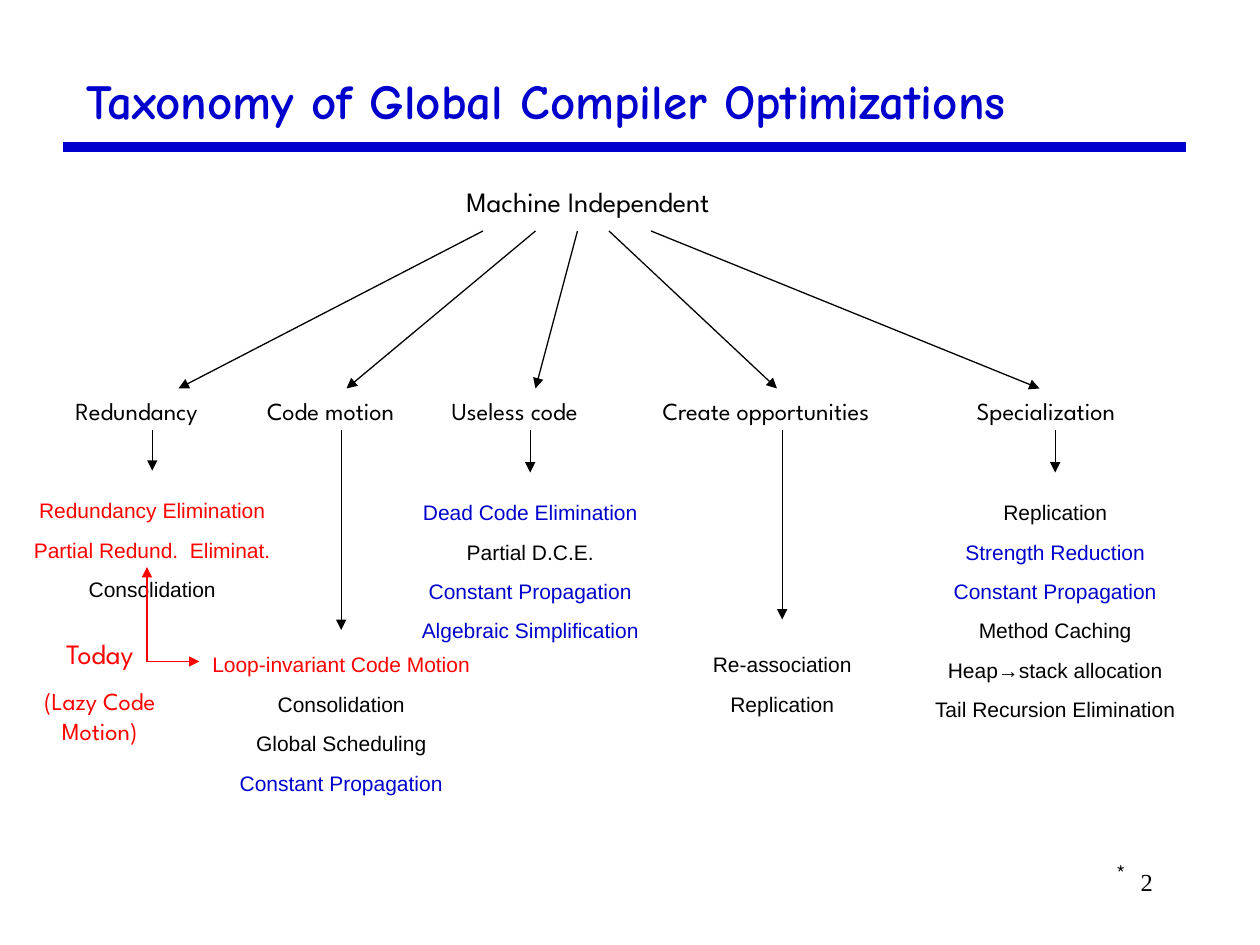
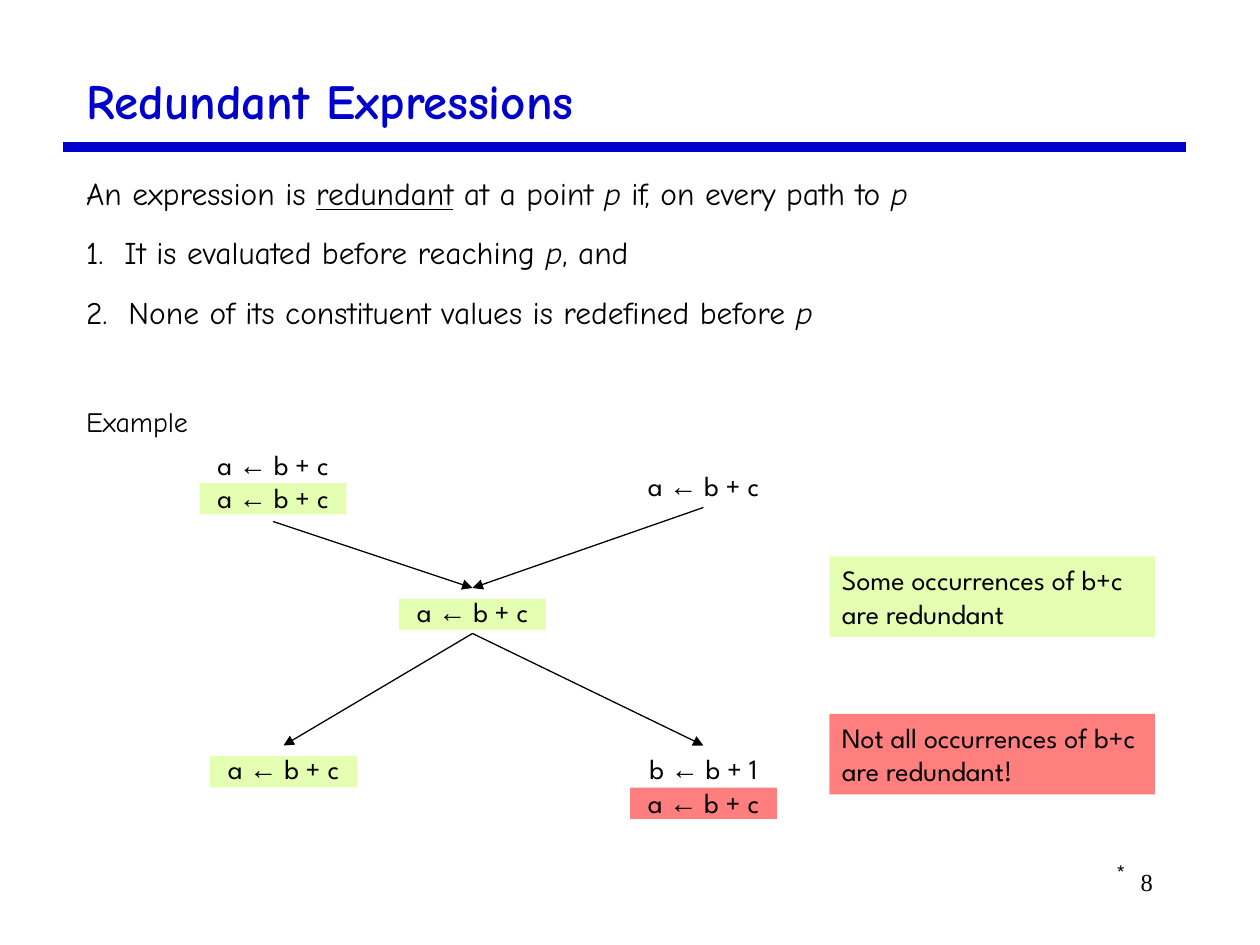
"""Builds two lecture slides on global compiler optimizations."""
from lxml.etree import SubElement
from pptx import Presentation
from pptx.dml.color import RGBColor
from pptx.enum.shapes import MSO_CONNECTOR as Connector, MSO_SHAPE as Shape
from pptx.enum.text import MSO_ANCHOR as Anchor, MSO_AUTO_SIZE as AutoSize, PP_ALIGN as Align
from pptx.oxml.ns import qn
from pptx.util import Pt

COLORS = {"black": "000000", "blue": "0000CC", "red": "FF0000", "lime": "CCFF66"}
SANS, COMIC, SERIF, ARIAL = "League Spartan", "Comic Neue", "Times New Roman", "Arial"
TITLE_ONLY, TITLE_AND_BODY = 5, 1


def rgb(name):
    return RGBColor.from_string(COLORS[name])


class Page:
    """Holds the shared style and the current slide."""

    def __init__(self, deck, layout, title, number):
        self.slide = deck.slides.add_slide(deck.slide_layouts[layout])
        self.arrow((36, 84), (678, 84), "blue", 6, head=False)
        heading = self.slide.shapes.title
        self.place(heading, 42, 36, 630, 42)
        heading.text_frame.vertical_anchor = Anchor.MIDDLE
        self.fill_text(heading, [title], size=28, font=COMIC, color="blue", bold=True)
        self.text((516, 492, 150, 36), [number], size=14, font=SERIF, align=Align.RIGHT)
        self.text((630.5, 486.5, 24, 24.5), ["*"], size=14)

    def place(self, shape, left, top, width, height):
        shape.left, shape.top, shape.width, shape.height = map(Pt, (left, top, width, height))

    def fill_text(self, shape, lines, size=16, font=SANS, color="black",
                  align=Align.LEFT, before=0, bold=False):
        frame = shape.text_frame
        frame.word_wrap = True
        frame.auto_size = AutoSize.NONE
        for index, line in enumerate(lines):
            para = frame.add_paragraph() if index else frame.paragraphs[0]
            para.alignment = align
            para.space_before = Pt(before)
            for text, style in [(line, {})] if isinstance(line, str) else line:
                span = para.add_run()
                span.text = text
                span.font.name = style.get("font", font)
                span.font.size = Pt(style.get("size", size))
                span.font.color.rgb = rgb(style.get("color", color))
                span.font.bold = bold
                span.font.italic = style.get("italic", False)
                span.font.underline = style.get("underline", False)

    def text(self, place, lines, **style):
        box = self.slide.shapes.add_textbox(*map(Pt, place))
        self.fill_text(box, lines, **style)

    def body(self, place, lines, **style):
        box = self.slide.placeholders[1]
        self.place(box, *place)
        self.fill_text(box, lines, font=COMIC, **style)
        for para in box.text_frame.paragraphs:
            props = para._p.get_or_add_pPr()
            props.set("marL", str(Pt(27)))
            props.set("indent", str(-Pt(27)))
            SubElement(props, qn("a:buNone"))
        return box

    def highlight(self, place, color, note=None):
        box = self.slide.shapes.add_shape(Shape.RECTANGLE, *map(Pt, place))
        box.shadow.inherit = False
        box.line.fill.background()
        box.fill.solid()
        box.fill.fore_color.rgb = rgb(color)
        shade = box._element.spPr.find(qn("a:solidFill"))[0]
        SubElement(shade, qn("a:alpha"), val="50000")
        if note:
            box.text_frame.vertical_anchor = Anchor.TOP
            self.fill_text(box, [note])

    def arrow(self, start, end, color="black", width=0.75, head=True):
        line = self.slide.shapes.add_connector(Connector.STRAIGHT, *map(Pt, start + end))
        line.line.color.rgb = rgb(color)
        line.line.width = Pt(width)
        if head:
            outline = line._element.spPr.find(qn("a:ln"))
            SubElement(outline, qn("a:tailEnd"), type="triangle")
        SubElement(line._element.spPr, qn("a:effectLst"))

    def code(self, left, top, *statements):
        lines = []
        for statement in statements:
            target, sign, value = statement.partition("←")
            lines.append([(target, {}), (sign, {"font": ARIAL}), (value, {})])
        self.text((left, top, 96, 7.2 + 19.5 * len(lines)), lines, align=Align.CENTER)


def colored(color, *names):
    return [[(name, {"color": color})] for name in names]


def taxonomy(deck):
    page = Page(deck, TITLE_ONLY, "Taxonomy of Global Compiler Optimizations", "2")
    page.text((240, 102, 192, 26.5), ["Machine Independent"], align=Align.CENTER)
    branches = [
        ("Redundancy", 36, 276, 102, 87, 269, 281,
         colored("red", "Redundancy Elimination", "Partial Redund.  Eliminat.")
         + ["Consolidation"]),
        ("Code motion", 145.5, 306, 198, 195, 360, 369,
         colored("red", "Loop-invariant Code Motion")
         + ["Consolidation", "Global Scheduling"]
         + colored("blue", "Constant Propagation")),
        ("Useless code", 251, 330, 306, 303, 270, 282,
         colored("blue", "Dead Code Elimination") + ["Partial D.C.E."]
         + colored("blue", "Constant Propagation", "Algebraic Simplification")),
        ("Create opportunities", 371.5, 348, 444, 447, 354, 369,
         ["Re-association", "Replication"]),
        ("Specialization", 551, 372, 594, 603, 270, 282,
         ["Replication"] + colored("blue", "Strength Reduction", "Constant Propagation")
         + ["Method Caching", "Heap→stack allocation", "Tail Recursion Elimination"]),
    ]
    for name, left, root_x, branch_x, center, arrow_end, list_top, methods in branches:
        page.arrow((root_x, 132), (branch_x, 222))
        page.text((left, 222.5, 151, 24.5), [name], size=14)
        page.arrow((center, 246), (center, arrow_end))
        page.text((center - 81, list_top, 162, 21.9 * len(methods)), methods,
                  size=12, font=ARIAL, align=Align.CENTER, before=8.1)
    page.text((12, 360, 90, 69), ["Today", [("(Lazy Code Motion)", {"size": 14})]],
              color="red", align=Align.CENTER, before=9.5)
    for end in ((114, 378), (84, 324)):
        page.arrow((84, 378), end, "red")


def redundancy(deck):
    page = Page(deck, TITLE_AND_BODY, "Redundant Expressions", "8")
    point = ("p", {"italic": True})
    body = page.body((42, 96, 630, 186), [
        [("An expression is ", {}), ("redundant", {"underline": True}),
         (" at a point ", {}), point, (" if, on every path to ", {}), point],
        [("1.  It is evaluated before reaching ", {}), point, (", and", {})],
        [("2.  None of its constituent values is redefined before ", {}), point],
        [("Example", {"size": 16})],
    ], size=18, before=12.2)
    body.text_frame.paragraphs[-1].space_before = Pt(42.5)

    for left, top, color in ((114, 276, "lime"), (120, 432, "lime"),
                             (228, 342, "lime"), (360, 450, "red")):
        page.highlight((left, top, 84, 18), color)
    page.highlight((474, 318, 186, 46), "lime", "Some occurrences of b+c are redundant")
    page.highlight((474, 408, 186, 46), "red", "Not all occurrences of b+c are redundant!")

    sum_line = "a ← b + c"
    page.code(108, 252, sum_line, sum_line)
    page.code(354, 264, sum_line)
    page.code(222, 336, sum_line)
    page.code(114, 426, sum_line)
    page.code(354, 426, "b ← b + 1", sum_line)
    for start in ((156, 298), (402, 290)):
        page.arrow(start, (270, 336))
    for end in ((162, 426), (402, 426)):
        page.arrow((270, 362), end)


def main():
    deck = Presentation()
    deck.slide_width, deck.slide_height = Pt(720), Pt(540)
    taxonomy(deck)
    redundancy(deck)
    deck.save("out.pptx")


if __name__ == "__main__":
    main()
